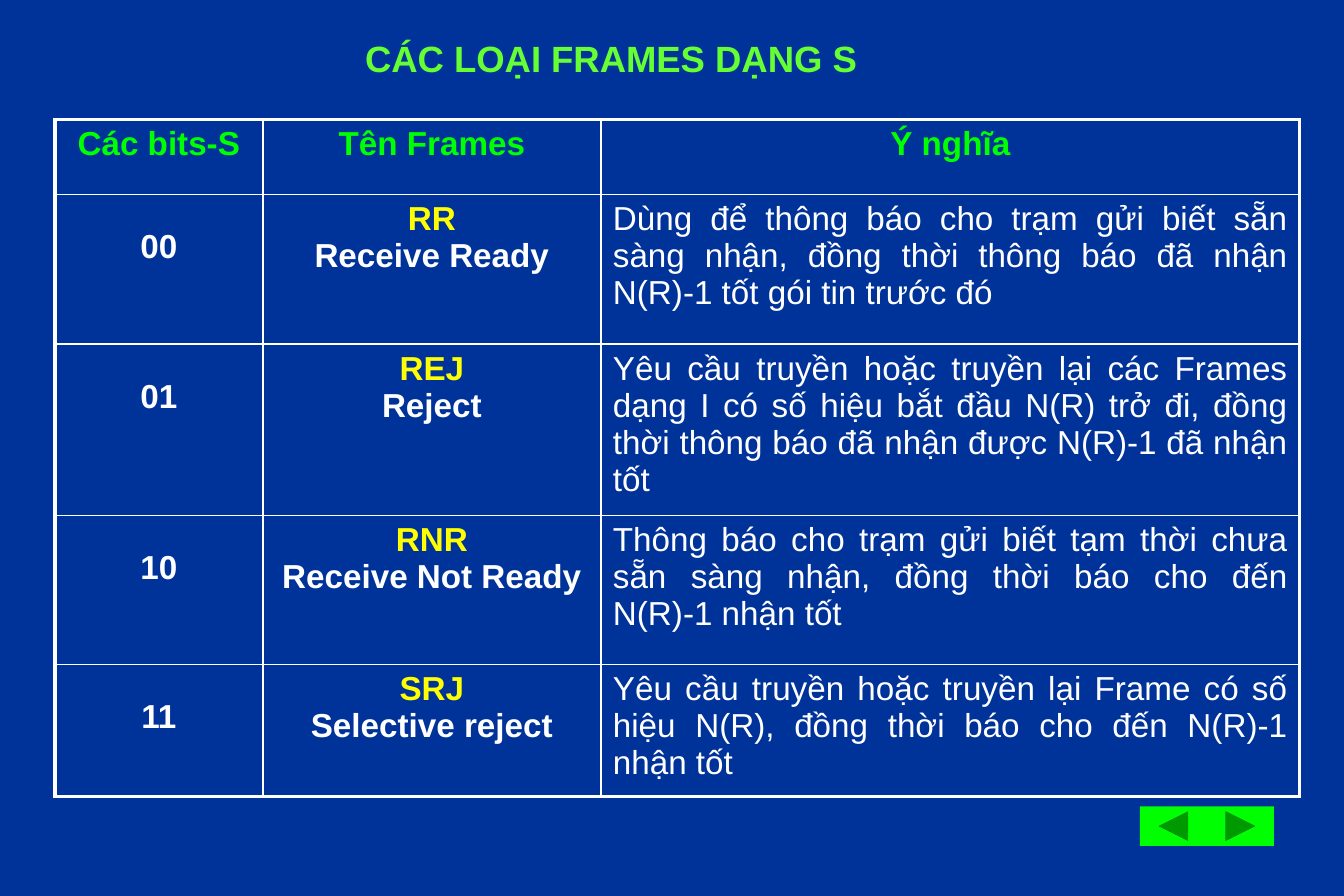
import pptx
import pptx.dml.color
import pptx.enum.shapes
import pptx.enum.text
import pptx.oxml
import pptx.oxml.ns
import pptx.util

Pt = pptx.util.Pt
Align = pptx.enum.text.PP_ALIGN
Shape = pptx.enum.shapes.MSO_SHAPE

WHITE, GREEN, YELLOW = "FFFFFF", "00FF00", "FFFF00"
WIDTHS = [125.3, 203.8, 421.2]
HEIGHTS = [45.4, 90, 103, 90, 79.2]
HEADS = ["Các bits-S", "Tên Frames", "Ý nghĩa"]
FRAMES = [
    ("00", "RR", "Receive Ready",
     "Dùng để thông báo cho trạm gửi biết sẵn sàng nhận, đồng thời thông báo "
     "đã nhận N(R)-1 tốt gói tin trước đó"),
    ("01", "REJ", "Reject",
     "Yêu cầu truyền hoặc truyền lại các Frames dạng I có số hiệu bắt đầu N(R) "
     "trở đi, đồng thời thông báo đã nhận được N(R)-1 đã nhận tốt"),
    ("10", "RNR", "Receive Not Ready",
     "Thông báo cho trạm gửi biết tạm thời chưa sẵn sàng nhận, đồng thời báo "
     "cho đến N(R)-1 nhận tốt"),
    ("11", "SRJ", "Selective reject",
     "Yêu cầu truyền hoặc truyền lại Frame có số hiệu N(R), đồng thời báo "
     "cho đến N(R)-1 nhận tốt"),
]


def paint(target, code):
    """Give a fill or a font a solid colour from a hex string."""
    if hasattr(target, "solid"):
        target.solid()
        target.fore_color.rgb = pptx.dml.color.RGBColor.from_string(code)
    else:
        target.color.rgb = pptx.dml.color.RGBColor.from_string(code)


def write(frame, lines, align, size=20, bold=True):
    """Write one paragraph for each pair of text and colour."""
    for i, (text, code) in enumerate(lines):
        para = frame.add_paragraph() if i else frame.paragraphs[0]
        para.alignment = align
        run = para.add_run()
        run.text = text
        run.font.name = "Arial"
        run.font.size = Pt(size)
        run.font.bold = bold
        paint(run.font, code)


def edge(cell, side, width):
    """Draw one white border of a cell."""
    line = pptx.oxml.parse_xml(
        f'<a:ln{side} {pptx.oxml.ns.nsdecls("a")} w="{Pt(width)}">'
        f'<a:solidFill><a:srgbClr val="{WHITE}"/></a:solidFill></a:ln{side}>')
    cell._tc.get_or_add_tcPr().append(line)


def title(slide, left, top, width, height):
    """Place the slide title."""
    frame = slide.shapes.add_textbox(
        Pt(left), Pt(top), Pt(width), Pt(height)).text_frame
    frame.word_wrap = False
    frame.auto_size = pptx.enum.text.MSO_AUTO_SIZE.SHAPE_TO_FIT_TEXT
    write(frame, [("CÁC LOẠI FRAMES DẠNG S", "66FF33")], Align.LEFT, 22)


def grid(slide, left, top):
    """Place the table of frame types."""
    rows, cols = len(HEIGHTS), len(WIDTHS)
    table = slide.shapes.add_table(
        rows, cols, Pt(left), Pt(top),
        Pt(sum(WIDTHS)), Pt(sum(HEIGHTS))).table
    table.first_row = table.horz_banding = False
    for col, width in zip(table.columns, WIDTHS):
        col.width = Pt(width)
    for row, height in zip(table.rows, HEIGHTS):
        row.height = Pt(height)
    for r in range(rows):
        for c in range(cols):
            cell = table.cell(r, c)
            outer = {"L": c == 0, "R": c == cols - 1,
                     "T": r == 0, "B": r == rows - 1}
            for side, thick in outer.items():
                edge(cell, side, 2.25 if thick else 1)
            cell.fill.background()
    for c, head in enumerate(HEADS):
        write(table.cell(0, c).text_frame, [(head, GREEN)], Align.CENTER)
    for r, (bits, short, name, sense) in enumerate(FRAMES, 1):
        first, second, third = (table.cell(r, c) for c in range(cols))
        first.margin_top = Pt(20.5)
        write(first.text_frame, [(bits, WHITE)], Align.CENTER)
        write(second.text_frame, [(short, YELLOW), (name, WHITE)], Align.CENTER)
        write(third.text_frame, [(sense, WHITE)], Align.JUSTIFY, bold=False)


def buttons(slide, left, top, width, height):
    """Place the back and next buttons side by side."""
    kinds = [Shape.ACTION_BUTTON_BACK_OR_PREVIOUS,
             Shape.ACTION_BUTTON_FORWARD_OR_NEXT]
    step = width / len(kinds)
    for i, kind in enumerate(kinds):
        button = slide.shapes.add_shape(
            kind, Pt(left + i * step), Pt(top), Pt(step), Pt(height))
        button.shadow.inherit = False
        paint(button.fill, GREEN)
        button.line.fill.background()


def main():
    """Build the slide and save it."""
    deck = pptx.Presentation()
    deck.slide_width, deck.slide_height = Pt(810), Pt(540)
    slide = deck.slides.add_slide(deck.slide_layouts[6])
    paint(slide.background.fill, "003399")
    title(slide, 213, 18, 314.6, 33.8)
    grid(slide, 33.1, 72)
    buttons(slide, 687, 486, 80.8, 23.8)
    deck.save("out.pptx")


if __name__ == "__main__":
    main()
